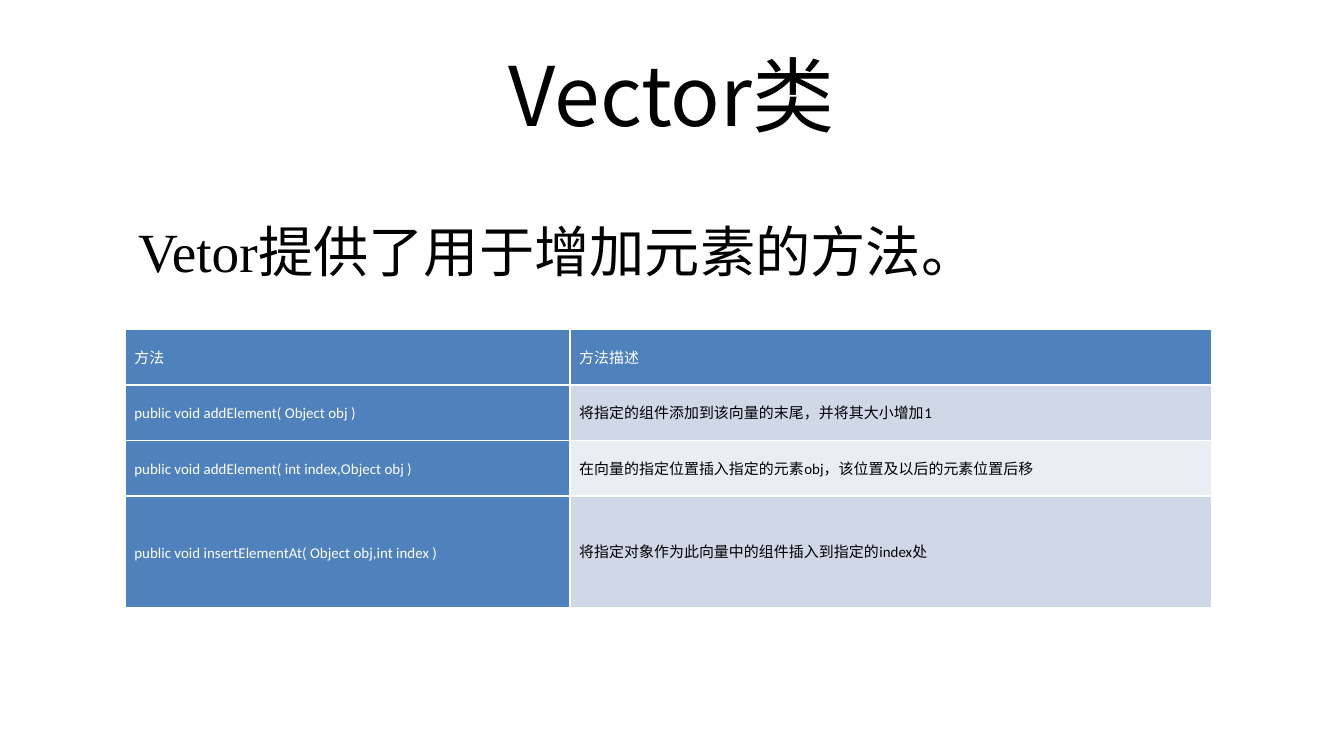
from lxml.etree import SubElement
from pptx import Presentation
from pptx.dml.color import RGBColor
from pptx.enum.text import MSO_ANCHOR as Anchor, PP_ALIGN as Align
from pptx.oxml.ns import qn
from pptx.util import Inches, Pt

CJK_FONT = "Noto Sans CJK SC"
WHITE, BLACK, BLUE = "FFFFFF", "000000", "4F81BD"
BANDS = ("D0D8E8", "E9EDF4")
COLUMN_WIDTHS = (3.31, 4.78)
TABLE_HEIGHT = 2.07
ROW_SHARES = (1, 1, 1, 2)
METHODS = (
    ("方法", "方法描述"),
    ("public void addElement( Object obj )", "将指定的组件添加到该向量的末尾，并将其大小增加1"),
    ("public void addElement( int index,Object obj )", "在向量的指定位置插入指定的元素obj，该位置及以后的元素位置后移"),
    ("public void insertElementAt( Object obj,int index )", "将指定对象作为此向量中的组件插入到指定的index处"),
)


def color(value):
    """Turn a hex string into a colour."""
    return RGBColor.from_string(value)


def set_format(target, values):
    """Set every attribute named in a dict of format values."""
    for name, value in values.items():
        setattr(target, name, value)


def write_text(frame, text, font, size, fill, para_format):
    """Write one formatted paragraph into a text frame."""
    para = frame.paragraphs[0]
    set_format(para, para_format)
    span = para.add_run()
    span.text = text
    set_format(span.font, {"name": font, "size": Pt(size)})
    span.font.color.rgb = color(fill)
    SubElement(span.font._element, qn("a:ea"), typeface=CJK_FONT)


def add_text(page, place, text, font, size, anchor, para_format):
    """Add a wrapped text box with black text."""
    box = page.shapes.add_textbox(*map(Inches, place))
    set_format(box.text_frame, {"word_wrap": True, "vertical_anchor": anchor})
    write_text(box.text_frame, text, font, size, BLACK, para_format)


def add_borders(cell, fill, width):
    """Draw the four borders of a table cell."""
    properties = cell._tc.get_or_add_tcPr()
    for position, side in enumerate(("lnL", "lnR", "lnT", "lnB")):
        line = properties.makeelement(qn(f"a:{side}"), {"w": str(Pt(width))})
        solid = SubElement(line, qn("a:solidFill"))
        SubElement(solid, qn("a:srgbClr"), val=fill)
        properties.insert(position, line)


def format_cell(cell, text, fill, text_color):
    """Fill, border and write one table cell."""
    set_format(cell, {
        "vertical_anchor": Anchor.MIDDLE,
        "margin_left": Inches(0.07), "margin_right": Inches(0.07),
        "margin_top": 0, "margin_bottom": 0,
    })
    cell.fill.solid()
    cell.fill.fore_color.rgb = color(fill)
    add_borders(cell, WHITE, 1)
    write_text(cell.text_frame, text, "Calibri", 8, text_color, {"line_spacing": Pt(11)})


def add_method_table(page, left, top):
    """Add the table of methods with a blue header row and first column."""
    place = map(Inches, (left, top, sum(COLUMN_WIDTHS), TABLE_HEIGHT))
    table = page.shapes.add_table(len(ROW_SHARES), len(COLUMN_WIDTHS), *place).table
    for column, width in zip(table.columns, COLUMN_WIDTHS):
        column.width = Inches(width)
    for row, share in zip(table.rows, ROW_SHARES):
        row.height = Inches(TABLE_HEIGHT * share / sum(ROW_SHARES))
    for row_index, texts in enumerate(METHODS):
        for column_index, text in enumerate(texts):
            is_heading = row_index == 0 or column_index == 0
            fill = BLUE if is_heading else BANDS[(row_index - 1) % 2]
            text_color = WHITE if is_heading else BLACK
            format_cell(table.cell(row_index, column_index), text, fill, text_color)


def main():
    """Build the slide and save it."""
    deck = Presentation()
    set_format(deck, {"slide_width": Inches(10), "slide_height": Inches(10 * 9 / 16)})
    page = deck.slides.add_slide(deck.slide_layouts[6])
    add_text(page, (0.5, 0.23, 9, 0.94), "Vector类", CJK_FONT, 44,
             Anchor.MIDDLE, {"alignment": Align.CENTER})
    add_text(page, (0.93, 1.57, 8.4, 0.51), "Vetor提供了用于增加元素的方法。",
             "Times New Roman", 29.6, Anchor.TOP, {"alignment": Align.LEFT})
    add_method_table(page, 0.93, 2.45)
    deck.save("out.pptx")


if __name__ == "__main__":
    main()
